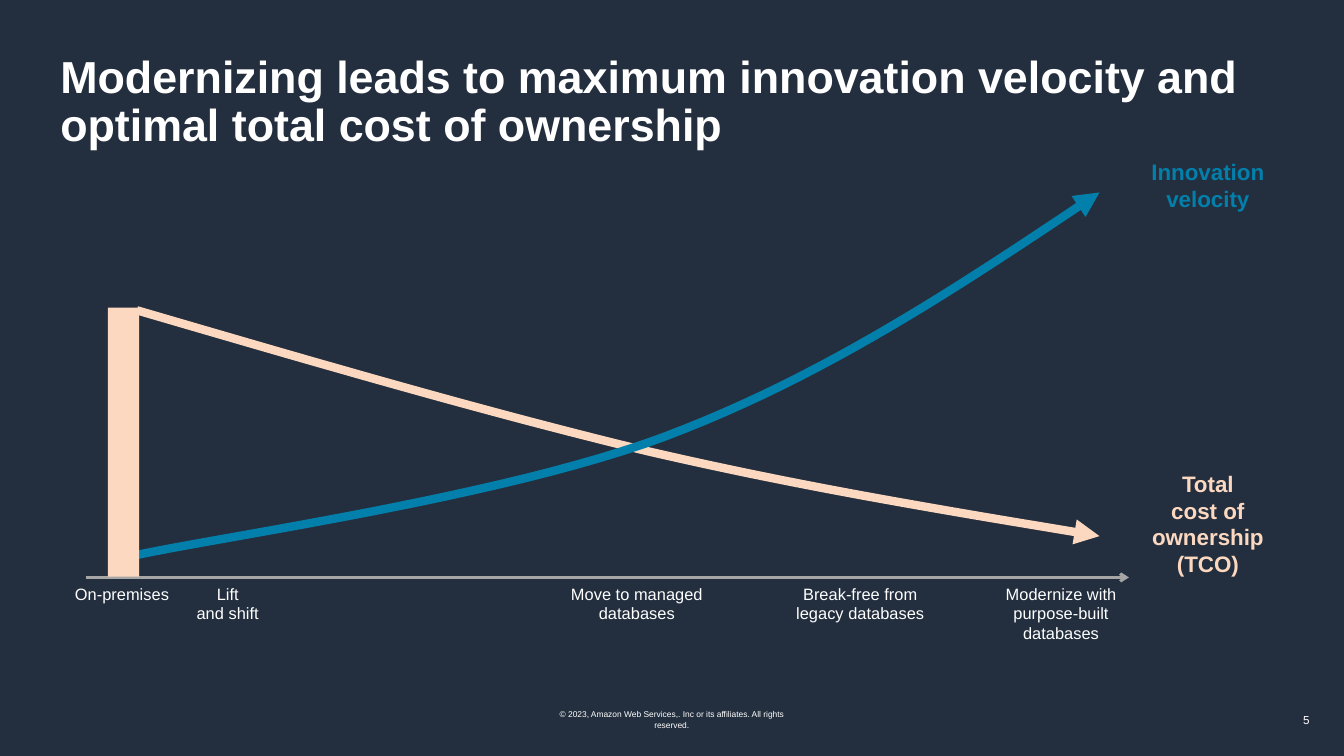
from lxml.etree import SubElement
from pptx import Presentation
from pptx.dml.color import RGBColor
from pptx.enum.shapes import MSO_CONNECTOR, MSO_SHAPE
from pptx.enum.text import MSO_ANCHOR, PP_ALIGN
from pptx.oxml.ns import qn
from pptx.util import Cm, Pt

NAVY, WHITE, GREY = "232F3E", "FFFFFF", "A6A6A6"
PEACH, BLUE = "FBD8BF", "027FAA"
STEPS = 24


def color(code):
    return RGBColor.from_string(code)


def add_text(slide, box, text, size, code=WHITE, bold=False,
             align=PP_ALIGN.CENTER, pad=(0, 0), space=None,
             anchor=MSO_ANCHOR.TOP):
    frame = slide.shapes.add_textbox(*map(Cm, box)).text_frame
    frame.word_wrap = True
    frame.vertical_anchor = anchor
    frame.margin_left = frame.margin_right = Cm(pad[0])
    frame.margin_top = frame.margin_bottom = Cm(pad[1])
    frame.text = text
    for para in frame.paragraphs:
        para.alignment = align
        if space:
            para.line_spacing = space
        for run in para.runs:
            run.font.name = "Arial"
            run.font.size = Pt(size)
            run.font.bold = bold
            run.font.color.rgb = color(code)


def style_line(shape, code, width, head):
    shape.line.color.rgb = color(code)
    shape.line.width = Pt(width)
    SubElement(shape.line._get_or_add_ln(), qn("a:tailEnd"), type=head)


def cubic(a, b, c, d, t):
    u = 1 - t
    return tuple(
        u**3 * p + 3 * u * u * t * q + 3 * u * t * t * r + t**3 * s
        for p, q, r, s in zip(a, b, c, d)
    )


def add_curve(slide, knots, code):
    points = [
        tuple(map(Cm, cubic(*knots[i:i + 4], step / STEPS)))
        for i in range(0, len(knots) - 1, 3)
        for step in range(1, STEPS + 1)
    ]
    build = slide.shapes.build_freeform(*map(Cm, knots[0]))
    build.add_line_segments(points, close=False)
    curve = build.convert_to_shape()
    curve.shadow.inherit = False
    curve.fill.background()
    style_line(curve, code, 6, "triangle")


def add_axis(slide, left, right, top):
    axis = slide.shapes.add_connector(
        MSO_CONNECTOR.STRAIGHT, Cm(left), Cm(top), Cm(right), Cm(top))
    style_line(axis, GREY, 2, "arrow")
    SubElement(axis._element.spPr, qn("a:effectLst"))


def add_bar(slide, box, code):
    bar = slide.shapes.add_shape(MSO_SHAPE.RECTANGLE, *map(Cm, box))
    bar.shadow.inherit = False
    bar.fill.solid()
    bar.fill.fore_color.rgb = color(code)
    bar.line.fill.background()


def main():
    deck = Presentation()
    deck.slide_width, deck.slide_height = Cm(33.87), Cm(19.05)
    slide = deck.slides.add_slide(deck.slide_layouts[6])
    slide.background.fill.solid()
    slide.background.fill.fore_color.rgb = color(NAVY)

    add_text(slide, (13.59, 17.75, 6.68, 0.51),
             "© 2023, Amazon Web Services,. Inc or its affiliates. "
             "All rights reserved.", 6, pad=(0.25, 0.13))
    add_text(slide, (31.57, 17.58, 1.63, 1.14), "5", 8.3,
             align=PP_ALIGN.RIGHT, pad=(0.2, 0.1), anchor=MSO_ANCHOR.MIDDLE)
    add_text(slide, (1.52, 1.24, 30.48, 2.72),
             "Modernizing leads to maximum innovation velocity and "
             "optimal total cost of ownership", 32, bold=True,
             align=PP_ALIGN.LEFT, pad=(0, 0.13), space=0.9)

    add_curve(slide, [(3.45, 7.82), (7.9, 9.12), (12.32, 10.41),
                      (16.36, 11.38), (20.42, 12.32), (24.05, 12.9),
                      (27.71, 13.51)], PEACH)
    add_axis(slide, 2.16, 28.45, 14.55)
    add_curve(slide, [(3.38, 14), (5.64, 13.51), (12.7, 12.52),
                      (16.76, 11), (20.83, 9.47), (24.26, 7.16),
                      (27.71, 4.85)], BLUE)
    add_bar(slide, (2.72, 7.75, 0.79, 6.78), PEACH)

    for left, width, height, text in (
        (1.6, 2.95, 0.99, "On-premises"),
        (4.65, 2.18, 0.99, "Lift\nand shift"),
        (14.27, 3.56, 0.99, "Move to managed\ndatabases"),
        (19.99, 3.38, 0.99, "Break-free from\nlegacy databases"),
        (25.04, 3.4, 1.5, "Modernize with purpose-built databases"),
    ):
        add_text(slide, (left, 14.71, width, height), text, 11.7)

    for top, height, text, code in (
        (3.86, 1.63, "Innovation velocity", BLUE),
        (11.71, 3, "Total\ncost of\nownership\n(TCO)", PEACH),
    ):
        add_text(slide, (28.8, top, 3.28, height), text, 16, code, True,
                 pad=(0.08, 0.13))

    deck.save("out.pptx")


if __name__ == "__main__":
    main()
